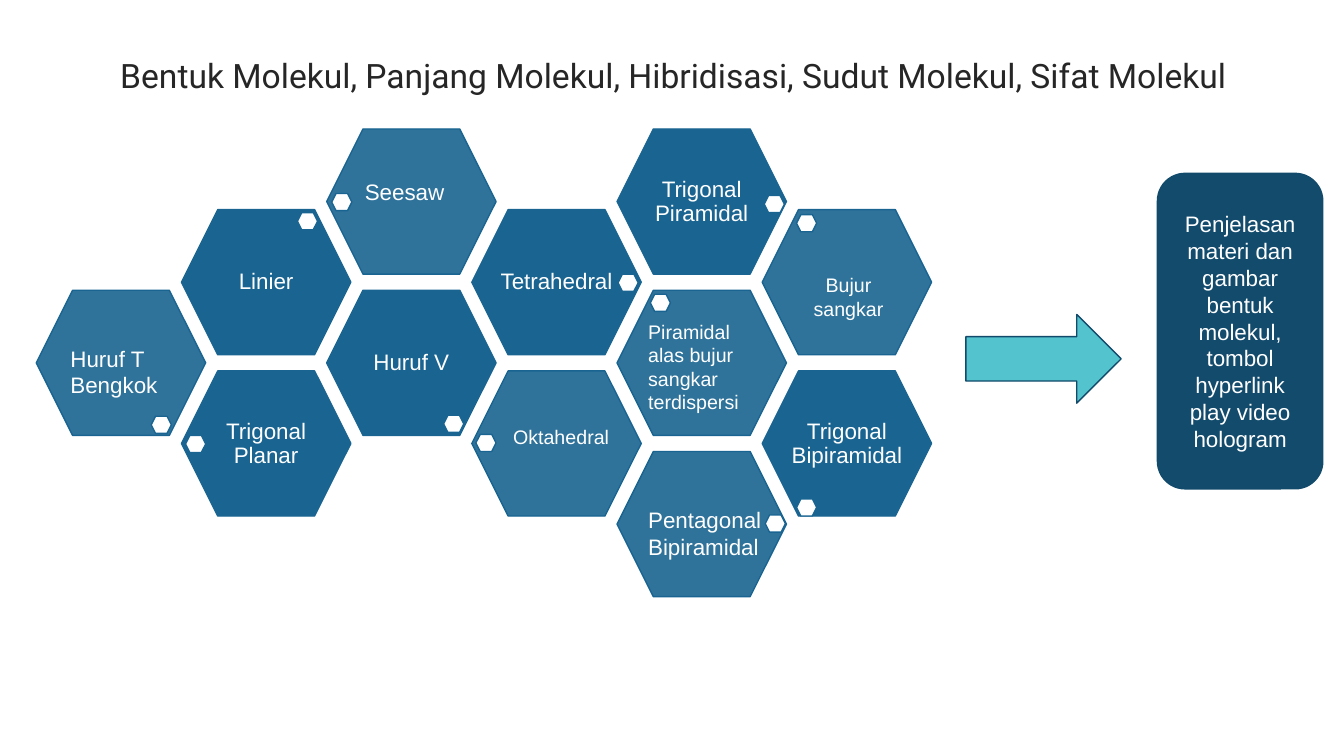
from lxml import etree
from pptx import Presentation
from pptx.dml.color import RGBColor
from pptx.enum import shapes, text
from pptx.oxml import ns
from pptx.util import Inches, Pt

BLUE = RGBColor(0x19, 0x64, 0x91)
NAVY = RGBColor(0x13, 0x4B, 0x6D)
EDGE = RGBColor(0x12, 0x4A, 0x6B)
TEAL = RGBColor(0x53, 0xC3, 0xCD)
WHITE = RGBColor(0xFF, 0xFF, 0xFF)
DARK = RGBColor(0x26, 0x26, 0x26)
CENTER, LEFT = text.PP_ALIGN.CENTER, text.PP_ALIGN.LEFT

prs = Presentation()
prs.slide_width, prs.slide_height = Inches(13.33), Inches(7.5)
slide = prs.slides.add_slide(prs.slide_layouts[5])


def add_figure(kind, left, top, width, height, fill, line):
    figure = slide.shapes.add_shape(
        kind, Inches(left), Inches(top), Inches(width), Inches(height))
    figure.shadow.inherit = False
    figure.fill.solid()
    figure.fill.fore_color.rgb = fill
    figure.line.color.rgb = line
    figure.line.width = Pt(1)
    return figure


def write(frame, words, size, align, font="Arial", color=WHITE):
    frame.word_wrap = True
    frame.text = words
    for paragraph in frame.paragraphs:
        paragraph.alignment = align
        paragraph.font.size = Pt(size)
        paragraph.font.name = font
        paragraph.font.color.rgb = color


# Title
title = slide.shapes.title
title.left, title.top = Inches(0.35), Inches(0.37)
title.width, title.height = Inches(12.66), Inches(0.79)
write(title.text_frame,
      "Bentuk Molekul, Panjang Molekul, Hibridisasi, Sudut Molekul, Sifat Molekul",
      24, CENTER, "Roboto", DARK)
title.text_frame.vertical_anchor = text.MSO_ANCHOR.MIDDLE
title.text_frame.paragraphs[0].line_spacing = 0.9

# Honeycomb: column, half-row, solid fill, position of the small marker
cells = [
    (1, 3, True, 1.84, 4.32), (0, 2, False, 1.5, 4.13),
    (2, 2, True, 4.4, 4.12), (3, 3, False, 4.72, 4.31),
    (1, 1, True, 2.95, 2.11), (2, 0, False, 3.29, 1.92),
    (3, 1, True, 6.13, 2.72), (4, 2, False, 6.45, 2.92),
    (4, 0, True, 7.58, 1.94), (5, 1, False, 7.9, 2.13),
    (5, 3, True, 7.9, 4.95), (4, 4, False, 7.59, 5.11),
]
HEXAGON = shapes.MSO_SHAPE.HEXAGON
for column, half_row, solid, marker_left, marker_top in cells:
    cell = add_figure(HEXAGON, 0.36 + 1.44 * column, 1.28 + 0.8 * half_row,
                      1.68, 1.44, BLUE, BLUE)
    if not solid:
        tint = cell.fill._xPr.find(".//" + ns.qn("a:srgbClr"))
        etree.SubElement(tint, ns.qn("a:alpha"), val="90000")
    add_figure(HEXAGON, marker_left, marker_top, 0.2, 0.17, WHITE, BLUE)

# Names centred in the solid cells
solid_names = [
    ("Trigonal Planar", 1, 3), ("Huruf V", 2, 2), ("Linier", 1, 1),
    ("Tetrahedral", 3, 1), ("Trigonal Piramidal", 4, 0),
    ("Trigonal Bipiramidal", 5, 3),
]
for name, column, half_row in solid_names:
    label = slide.shapes.add_textbox(
        Inches(0.62 + 1.44 * column), Inches(1.51 + 0.8 * half_row),
        Inches(1.16), Inches(0.99))
    frame = label.text_frame
    write(frame, name, 16, CENTER)
    frame.margin_left = frame.margin_right = 0
    frame.margin_top = frame.margin_bottom = Inches(0.02)
    frame.vertical_anchor = text.MSO_ANCHOR.MIDDLE
    frame.paragraphs[0].line_spacing = 0.9

# Names placed over the lighter cells
light_names = [
    ("Seesaw", 3.52, 1.72, 1.19, 0.37, 16, LEFT),
    ("Oktahedral", 4.99, 4.17, 1.19, 0.34, 14, LEFT),
    ("Piramidal alas bujur sangkar terdispersi", 6.33, 3.12, 1.32, 1.04, 14, LEFT),
    ("Huruf T Bengkok", 0.6, 3.37, 1.19, 0.64, 16, LEFT),
    ("Pentagonal Bipiramidal", 6.33, 4.97, 1.32, 0.64, 16, LEFT),
    ("Bujur\nsangkar", 7.82, 2.66, 1.19, 0.57, 14, CENTER),
]
for name, left, top, width, height, size, align in light_names:
    label = slide.shapes.add_textbox(
        Inches(left), Inches(top), Inches(width), Inches(height))
    write(label.text_frame, name, size, align)
    label.text_frame.auto_size = text.MSO_AUTO_SIZE.SHAPE_TO_FIT_TEXT

# Arrow to the explanation panel
add_figure(shapes.MSO_SHAPE.RIGHT_ARROW, 9.58, 3.12, 1.54, 0.88, TEAL, EDGE)
explanation = add_figure(shapes.MSO_SHAPE.ROUNDED_RECTANGLE,
                         11.48, 1.72, 1.64, 3.13, NAVY, EDGE)
write(explanation.text_frame,
      "Penjelasan materi dan gambar bentuk molekul, tombol hyperlink play video hologram",
      16, CENTER)
explanation.text_frame.vertical_anchor = text.MSO_ANCHOR.MIDDLE

prs.save("out.pptx")
